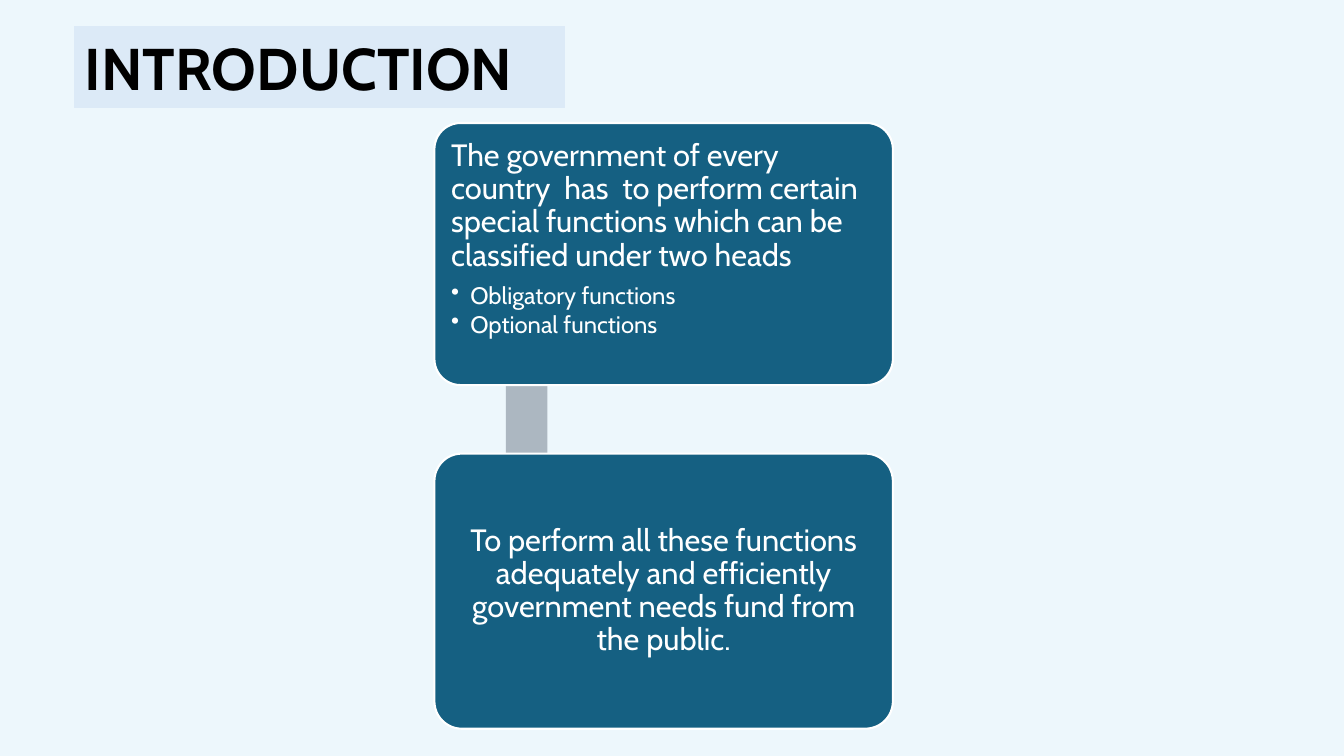
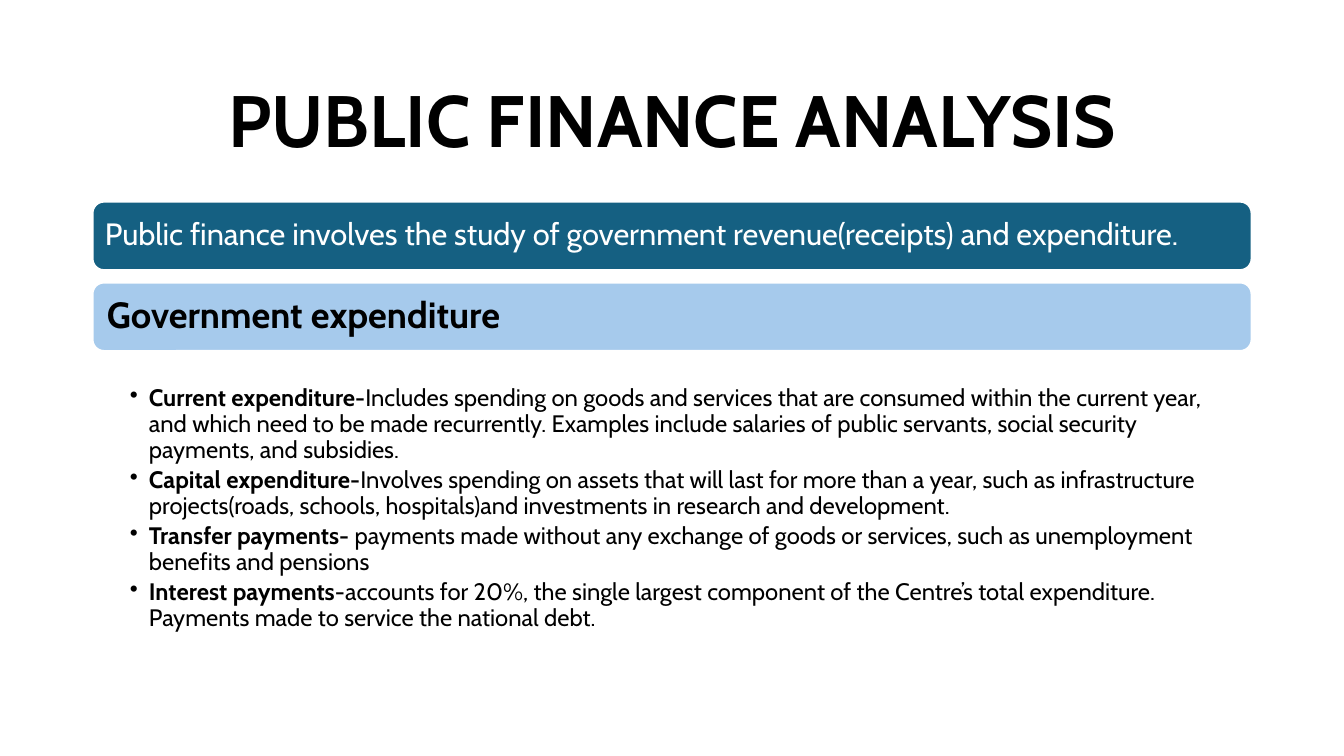
"""Two slides on government functions and public finance."""
from lxml.etree import SubElement
from pptx import Presentation
from pptx.dml.color import RGBColor
from pptx.enum.shapes import MSO_SHAPE as SHAPE
from pptx.enum.text import MSO_ANCHOR as ANCHOR, PP_ALIGN as ALIGN
from pptx.oxml.ns import qn
from pptx.util import Inches, Pt

FONT = "Cabin"
BLACK = RGBColor(0x00, 0x00, 0x00)
WHITE = RGBColor(0xFF, 0xFF, 0xFF)
PALE_BLUE = RGBColor(0xED, 0xF7, 0xFC)
TITLE_BLUE = RGBColor(0xDC, 0xEA, 0xF7)
TEAL = RGBColor(0x15, 0x60, 0x82)
SKY = RGBColor(0xA6, 0xCA, 0xEC)
GRAY = RGBColor(0xAC, 0xB7, 0xC1)

deck = Presentation()
deck.slide_width, deck.slide_height = Inches(13.333), Inches(7.5)
COL, ROW = deck.slide_width / 100, deck.slide_height / 100


def add_box(slide, kind, area, fill, line=None, line_width=1.5, margin=0.09):
    left, top, width, height = area
    box = slide.shapes.add_shape(kind, int(left * COL), int(top * ROW),
                                 int(width * COL), int(height * ROW))
    box.shadow.inherit = False
    if fill is None:
        box.fill.background()
    else:
        box.fill.solid()
        box.fill.fore_color.rgb = fill
    if line is None:
        box.line.fill.background()
    else:
        box.line.color.rgb = line
        box.line.width = Pt(line_width)
    frame = box.text_frame
    frame.word_wrap = True
    frame.margin_left = frame.margin_right = Inches(margin)
    frame.margin_top = frame.margin_bottom = Inches(margin)
    return box


def add_text(frame, text, size, color, lead="", bold=False, align=ALIGN.LEFT,
             spacing=0.9, after=0.35, bullet=False):
    paragraph = frame.paragraphs[0]
    if paragraph.runs:
        paragraph = frame.add_paragraph()
    paragraph.alignment = align
    paragraph.line_spacing = spacing
    paragraph.space_after = Pt(size * after)
    if bullet:
        properties = paragraph._p.get_or_add_pPr()
        properties.set("marL", str(Inches(0.19)))
        properties.set("indent", str(-Inches(0.19)))
        SubElement(properties, qn("a:buChar")).set("char", "•")
    paragraph.font.name = FONT
    paragraph.font.size = Pt(size)
    paragraph.font.color.rgb = color
    paragraph.font.bold = bold
    if lead:
        lead_run = paragraph.add_run()
        lead_run.text = lead
        lead_run.font.bold = True
    paragraph.add_run().text = text


blank = deck.slide_layouts[6]
intro, analysis = (deck.slides.add_slide(blank) for _ in range(2))
for slide, color in ((intro, PALE_BLUE), (analysis, WHITE)):
    slide.background.fill.solid()
    slide.background.fill.fore_color.rgb = color

title = add_box(intro, SHAPE.RECTANGLE, (5.55, 3.47, 36.45, 10.8),
                TITLE_BLUE, TITLE_BLUE, 0.75, 0.1).text_frame
title.margin_top = title.margin_bottom = Inches(0.05)
add_text(title, "INTRODUCTION", 42, BLACK, bold=True, spacing=1, after=0)

add_box(intro, SHAPE.RECTANGLE, (37.65, 24.4, 3.08, 44.4), GRAY)
steps = []
for top, height, anchor in ((16.27, 34.67, ANCHOR.TOP),
                            (60, 36.4, ANCHOR.MIDDLE)):
    step = add_box(intro, SHAPE.ROUNDED_RECTANGLE, (32.32, top, 34.12, height),
                   TEAL, WHITE)
    step.adjustments[0] = 0.1
    step.text_frame.vertical_anchor = anchor
    steps.append(step.text_frame)
functions, funding = steps
add_text(functions, "The government of every  country  has  to perform certain "
         "special functions which can be classified under two heads", 22, WHITE)
for kind in ("Obligatory functions", "Optional functions"):
    add_text(functions, kind, 17, WHITE, after=0.15, bullet=True)
add_text(funding, "To perform all these functions adequately and efficiently "
         "government needs fund from the public.", 22, WHITE, align=ALIGN.CENTER)

LEFT, WIDTH = 6.88, 86.25
heading = add_box(analysis, SHAPE.RECTANGLE, (LEFT, 8.13, WIDTH, 16.53), None)
add_text(heading.text_frame, "PUBLIC FINANCE ANALYSIS", 52, BLACK, bold=True,
         align=ALIGN.CENTER, after=0.12)

bands = (
    ("Public finance involves the study of government revenue(receipts) "
     "and expenditure.", 22, TEAL, WHITE, False, 0.09),
    ("Government expenditure", 26, SKY, BLACK, True, 0.11),
)
for row, (text, size, fill, color, bold, margin) in enumerate(bands):
    band = add_box(analysis, SHAPE.ROUNDED_RECTANGLE,
                   (LEFT, 26.67 + row * 10.7, WIDTH, 9.07), fill, WHITE,
                   margin=margin)
    add_text(band.text_frame, text, size, color, bold=bold)

expenditures = (
    ("Current expenditure-",
     "Includes spending on goods and services that are consumed within the "
     "current year, and which need to be made recurrently. Examples include "
     "salaries of public servants, social security payments, and subsidies."),
    ("Capital expenditure-",
     "Involves spending on assets that will last for more than a year, such as "
     "infrastructure projects(roads, schools, hospitals)and investments in "
     "research and development."),
    ("Transfer payments- ",
     "payments made without any exchange of goods or services, such as "
     "unemployment benefits and pensions"),
    ("Interest payments",
     "-accounts for 20%, the single largest component of the Centre’s total "
     "expenditure. Payments made to service the national debt."),
)
details = add_box(analysis, SHAPE.RECTANGLE, (LEFT, 50.67, WIDTH, 34.53), None,
                  margin=0.03).text_frame
details.vertical_anchor = ANCHOR.TOP
details.margin_left, details.margin_right = Inches(0.37), Inches(0.17)
for lead, text in expenditures:
    add_text(details, text, 17, BLACK, lead, after=0.2, bullet=True)

deck.save("out.pptx")
